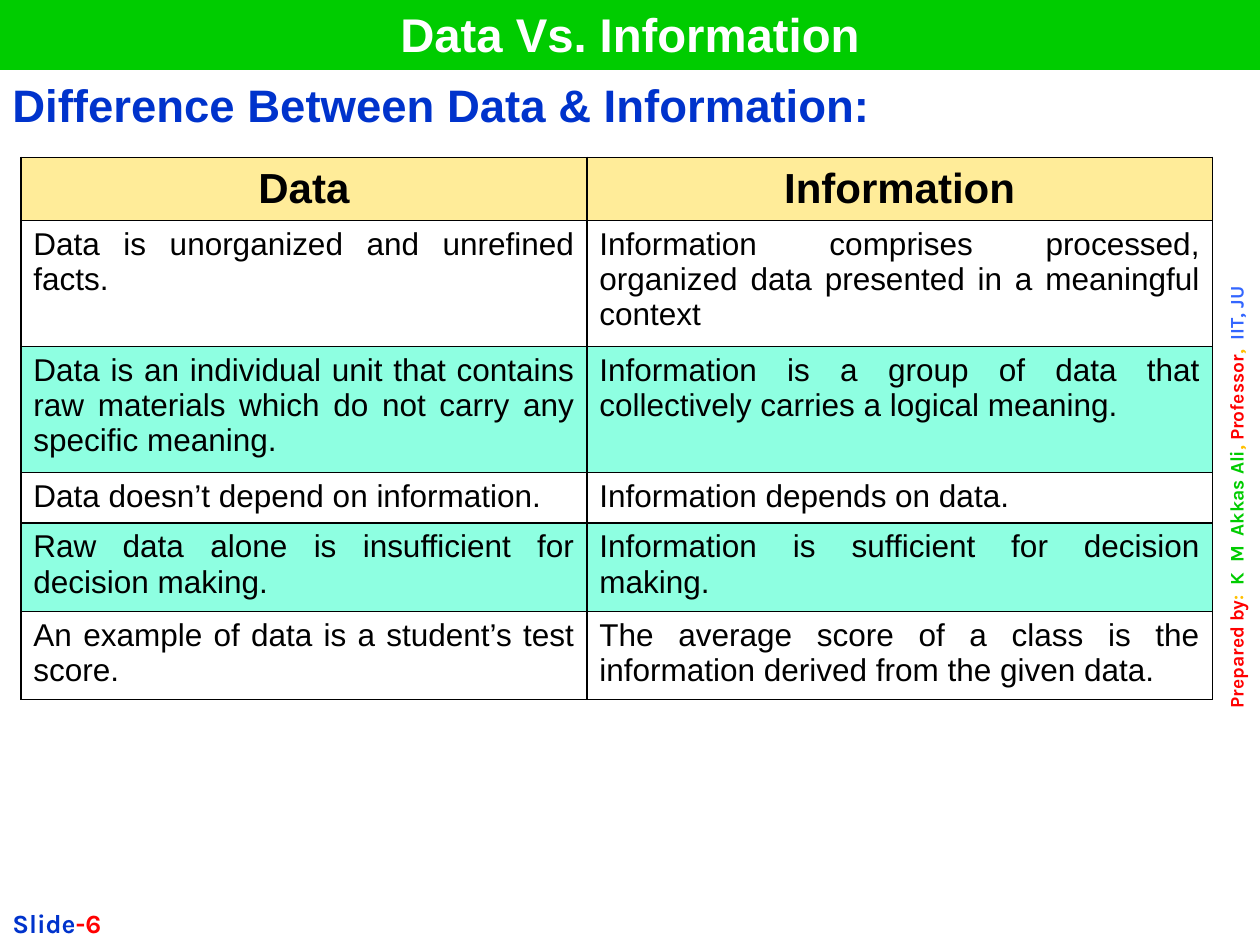
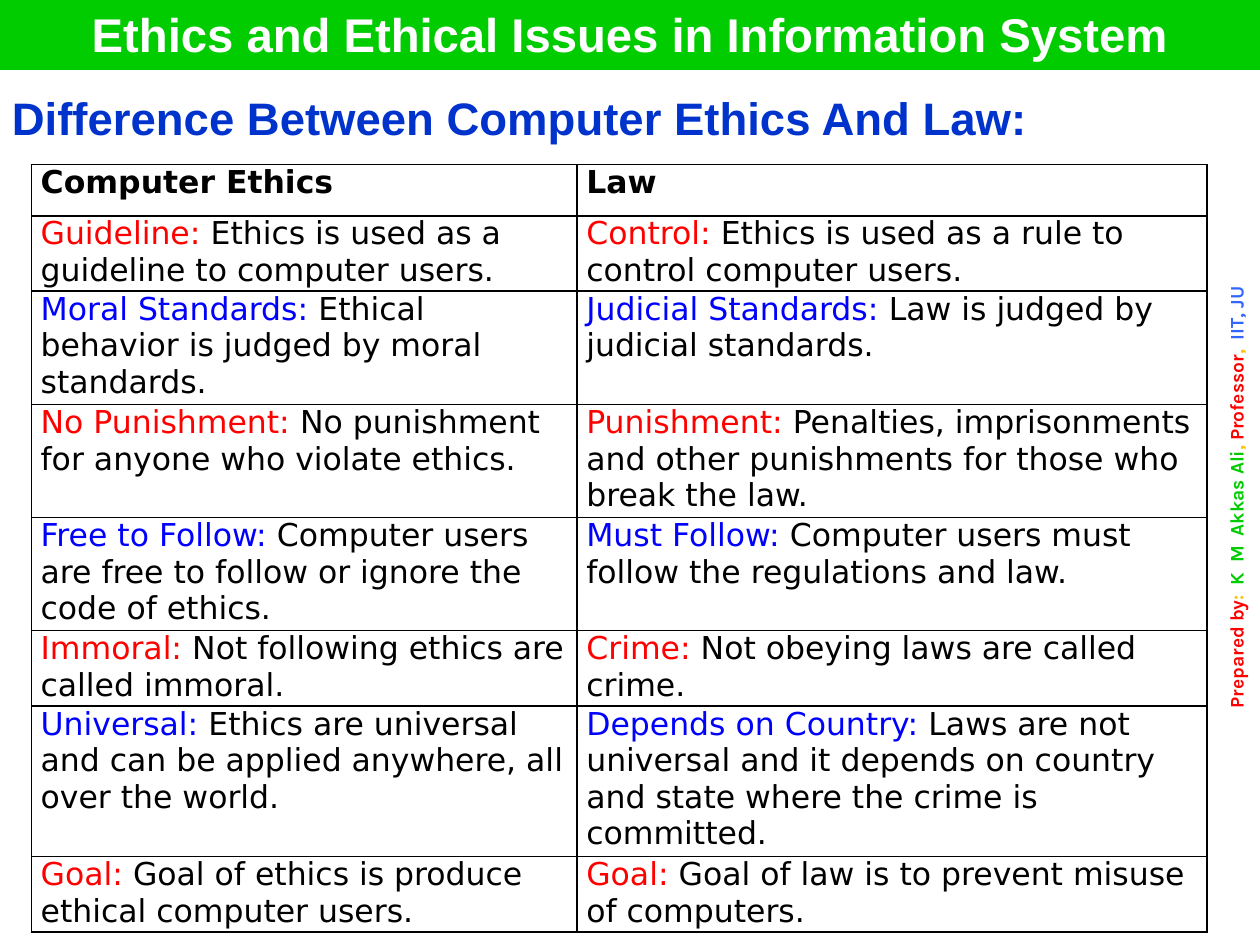
from lxml.etree import SubElement
from pptx import Presentation
from pptx.dml.color import RGBColor
from pptx.enum.text import MSO_ANCHOR as Anchor, MSO_AUTO_SIZE as AutoSize, PP_ALIGN as Align
from pptx.oxml import parse_xml
from pptx.oxml.ns import qn
from pptx.util import Cm, Pt

COLOURS = {
    "band": "00CC00", "heading": "0033CC", "white": "FFFFFF", "black": "000000",
    "red": "FF0000", "blue": "0000FF", "amber": "FFC000", "green": "00CC00",
    "sky": "3366FF", "header_fill": "FFEC99", "stripe": "8EFFE1",
}
TITLE = {"name": "Arial", "size": Pt(27), "bold": True, "colour": "white"}
HEADING = {"name": "Arial", "size": Pt(26), "bold": True, "colour": "heading"}
CREDIT = {"name": "Karla", "size": Pt(11), "bold": True}
FOOTER = {"name": "Karla", "size": Pt(15), "bold": True}
DATA_HEAD = {"name": "Arial", "size": Pt(24), "bold": True, "colour": "black"}
DATA_BODY = {"name": "Arial", "size": Pt(18), "bold": False, "colour": "black"}
LAW_HEAD = {"name": "DejaVu Sans", "size": Pt(18), "bold": True, "colour": "black"}
LAW_BODY = {**LAW_HEAD, "bold": False}
LAW_SPACING = {"space_before": Pt(6), "space_after": Pt(6)}
TIGHT_MARGINS = {"margin_left": Cm(0.19), "margin_right": Cm(0.19), "margin_top": 0, "margin_bottom": 0}

DATA_ROWS = [
    ("Data", "Information"),
    ("Data is unorganized and unrefined facts.",
     "Information comprises processed, organized data presented in a meaningful context"),
    ("Data is an individual unit that contains raw materials which do not carry any specific meaning.",
     "Information is a group of data that collectively carries a logical meaning."),
    ("Data doesn’t depend on information.", "Information depends on data."),
    ("Raw data alone is insufficient for decision making.",
     "Information is sufficient for decision making."),
    ("An example of data is a student’s test score.",
     "The average score of a class is the information derived from the given data."),
]
LAW_HEADERS = ("Computer Ethics", "Law")
LAW_ROWS = [
    (("Guideline: ", "Ethics is used as a guideline to computer users."),
     ("Control: ", "Ethics is used as a rule to control computer users.")),
    (("Moral Standards:", " Ethical behavior is judged by moral standards."),
     ("Judicial Standards:", " Law is judged by judicial standards.")),
    (("No Punishment: ", "No punishment for anyone who violate ethics."),
     ("Punishment: ", "Penalties, imprisonments and other punishments for those who break the law.")),
    (("Free to Follow: ", "Computer users are free to follow or ignore the code of ethics."),
     ("Must Follow: ", "Computer users must follow the regulations and law.")),
    (("Immoral: ", "Not following ethics are called immoral."),
     ("Crime: ", "Not obeying laws are called crime.")),
    (("Universal: ", "Ethics are universal and can be applied anywhere, all over the world."),
     ("Depends on Country: ",
      "Laws are not universal and it depends on country and state where the crime is committed.")),
    (("Goal: ", "Goal of ethics is produce ethical computer users."),
     ("Goal: ", "Goal of law is to prevent misuse of computers.")),
]


def rgb(colour):
    return RGBColor.from_string(COLOURS[colour])


def apply(target, values):
    for key, value in values.items():
        setattr(target, key, value)


def write(frame, runs, style, align=Align.LEFT, spacing=None):
    """Fill the first paragraph with (text, style changes) runs."""
    paragraph = frame.paragraphs[0]
    apply(paragraph, {"alignment": align, **(spacing or {})})
    written = []
    for text, changes in runs:
        run = paragraph.add_run()
        run.text = text
        font_values = {**style, **changes}
        run.font.color.rgb = rgb(font_values.pop("colour"))
        apply(run.font, font_values)
        written.append(run)
    return written


def text_box(slide, box, anchor=Anchor.TOP):
    shape = slide.shapes.add_textbox(*map(Cm, box))
    apply(shape.text_frame, {"word_wrap": True, "vertical_anchor": anchor})
    return shape


def add_title_band(slide, title, box):
    band = slide.shapes.title
    band.left, band.top, band.width, band.height = map(Cm, box)
    band.fill.solid()
    band.fill.fore_color.rgb = rgb("band")
    apply(band.text_frame, {
        "auto_size": AutoSize.NONE, "word_wrap": True, "vertical_anchor": Anchor.MIDDLE,
        "margin_top": Cm(0.1), "margin_bottom": Cm(0.14),
    })
    write(band.text_frame, [(title, {})], TITLE, Align.CENTER)


def add_slide_number(slide, number, box):
    frame = text_box(slide, box, Anchor.BOTTOM).text_frame
    write(frame, [("Slide", {"colour": "heading"}), (f"-{number}", {"colour": "red"})], FOOTER)


def add_credit(slide, layout, box):
    """Build the upright credit and move it to the shared layout."""
    credit = text_box(slide, box)
    credit.text_frame._txBody.bodyPr.set("vert", "vert270")
    runs = write(credit.text_frame, [
        ("Prepared by", {"colour": "red"}),
        (":  ", {"colour": "amber"}),
        ("K  M  Akkas Ali", {"colour": "green"}),
        (", ", {"colour": "amber"}),
        ("Professor", {"colour": "red"}),
        (",  ", {"colour": "amber"}),
        ("IIT, JU", {"colour": "sky"}),
    ], CREDIT, Align.CENTER)
    # Thin outline around the name
    outline = parse_xml(
        '<a:ln xmlns:a="http://schemas.openxmlformats.org/drawingml/2006/main" w="9525">'
        f'<a:solidFill><a:srgbClr val="{COLOURS["green"]}"/></a:solidFill></a:ln>')
    runs[2].font._element.insert(0, outline)
    layout.shapes.element.append(credit._element)


def add_borders(cell, ruled):
    properties = cell._tc.get_or_add_tcPr()
    for side in ("a:lnL", "a:lnR", "a:lnT", "a:lnB"):
        line = SubElement(properties, qn(side), w=str(Pt(1)))
        if ruled:
            fill = SubElement(line, qn("a:solidFill"))
            SubElement(fill, qn("a:srgbClr"), val=COLOURS["black"])
        else:
            SubElement(line, qn("a:noFill"))


def add_grid(slide, left, top, widths, heights, ruled=True):
    """Add a plain table and return it."""
    box = map(Cm, (left, top, sum(widths), sum(heights)))
    table = slide.shapes.add_table(len(heights), len(widths), *box).table
    table.first_row = table.horz_banding = False
    for column, width in zip(table.columns, widths):
        column.width = Cm(width)
    for row, height in zip(table.rows, heights):
        row.height = Cm(height)
    for cell in table.iter_cells():
        add_borders(cell, ruled)
        cell.fill.background()
    return table


def fill_cell(cell, colour):
    cell.fill.solid()
    cell.fill.fore_color.rgb = rgb(colour)


def add_data_table(slide, left, top):
    table = add_grid(slide, left, top, (11.41, 12.61), (1.27, 2.54, 2.54, 1.02, 1.78, 1.78))
    for row, texts in enumerate(DATA_ROWS):
        for column, text in enumerate(texts):
            cell = table.cell(row, column)
            if row == 0:
                cell.vertical_anchor = Anchor.MIDDLE
                fill_cell(cell, "header_fill")
                write(cell.text_frame, [(text, {})], DATA_HEAD, Align.CENTER)
            else:
                if row % 2 == 0:
                    fill_cell(cell, "stripe")
                write(cell.text_frame, [(text, {})], DATA_BODY, Align.JUSTIFY)


def add_law_table(slide, left, top):
    line = 1.52 / 2
    line_counts = (2, 3, 3, 3, 2, 4, 2)
    table = add_grid(slide, left, top, (11, 12.7), [1.03] + [line * n for n in line_counts])
    for cell in table.iter_cells():
        apply(cell, TIGHT_MARGINS)
    for column, header in enumerate(LAW_HEADERS):
        write(table.cell(0, column).text_frame, [(header, {})], LAW_HEAD, spacing=LAW_SPACING)
    for row, pairs in enumerate(LAW_ROWS, start=1):
        label_colour = "red" if row % 2 else "blue"
        for column, (label, text) in enumerate(pairs):
            runs = [(label, {"colour": label_colour}), (text, {})]
            write(table.cell(row, column).text_frame, runs, LAW_BODY, spacing=LAW_SPACING)


def add_law_heading(slide, heading, left, top):
    cell = add_grid(slide, left, top, [23.44], [1.07], ruled=False).cell(0, 0)
    apply(cell, TIGHT_MARGINS)
    write(cell.text_frame, [(heading, {})], HEADING, Align.JUSTIFY)


def add_comparison_slide(prs, title):
    slide = prs.slides.add_slide(prs.slide_layouts[5])
    add_title_band(slide, title, (0, 0, 25.4, 1.41))
    return slide


def main():
    prs = Presentation()
    prs.slide_width, prs.slide_height = Cm(25.4), Cm(19.05)

    # Data and information
    data = add_comparison_slide(prs, "Data Vs. Information")
    heading_frame = text_box(data, (0, 1.43, 25.4, 1.37)).text_frame
    write(heading_frame, [("Difference Between Data & Information:", {})], HEADING)
    add_data_table(data, 0.42, 3.17)
    add_slide_number(data, 6, (0, 17.78, 5.28, 1.27))
    add_credit(data, prs.slide_layouts[5], (24.56, 1.24, 0.99, 17.58))

    # Ethics and law
    law = add_comparison_slide(prs, "Ethics and Ethical Issues in Information System")
    add_law_table(law, 0.63, 3.32)
    add_law_heading(law, "Difference Between Computer Ethics And Law:", 0.05, 1.9)

    prs.save("out.pptx")


if __name__ == "__main__":
    main()
